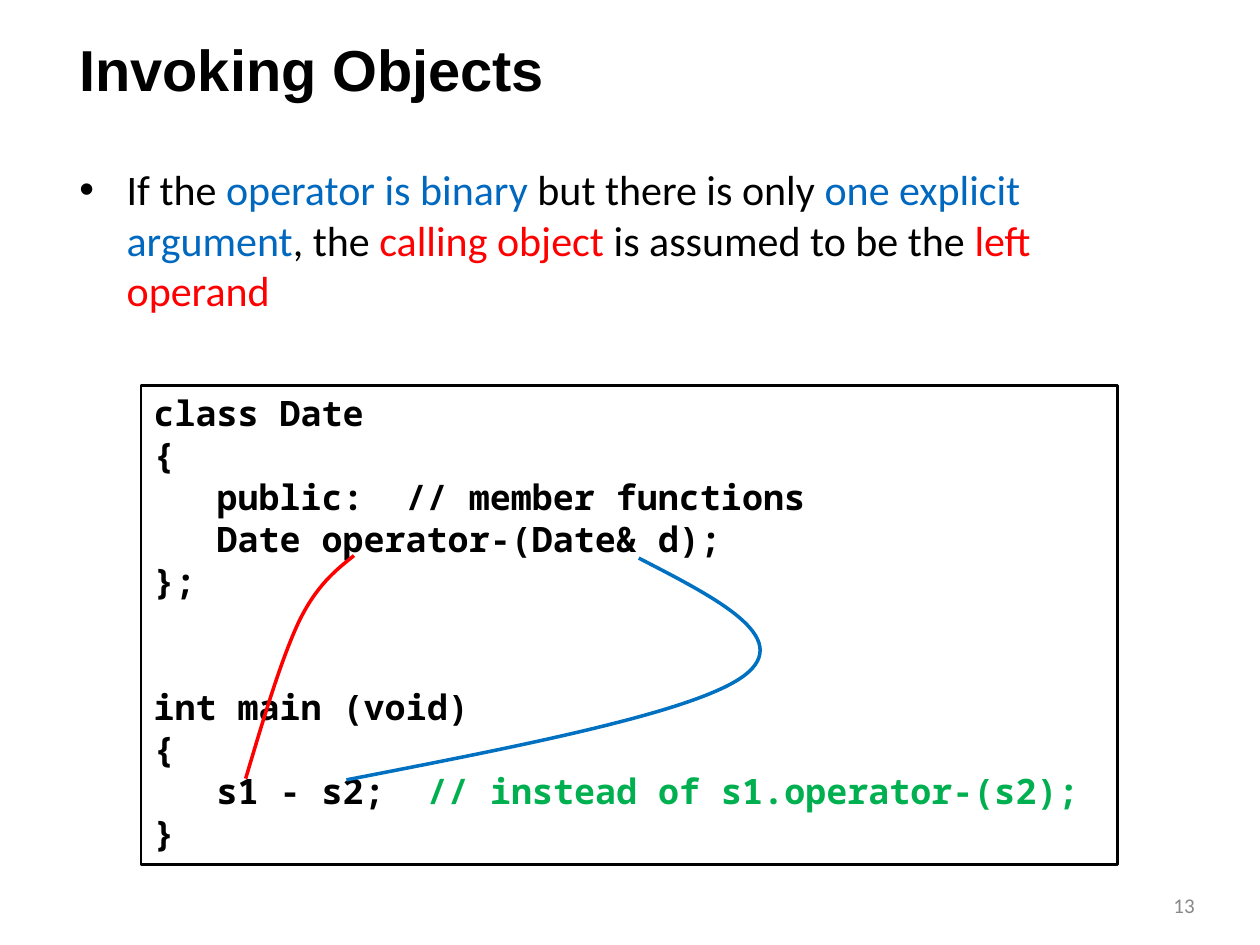
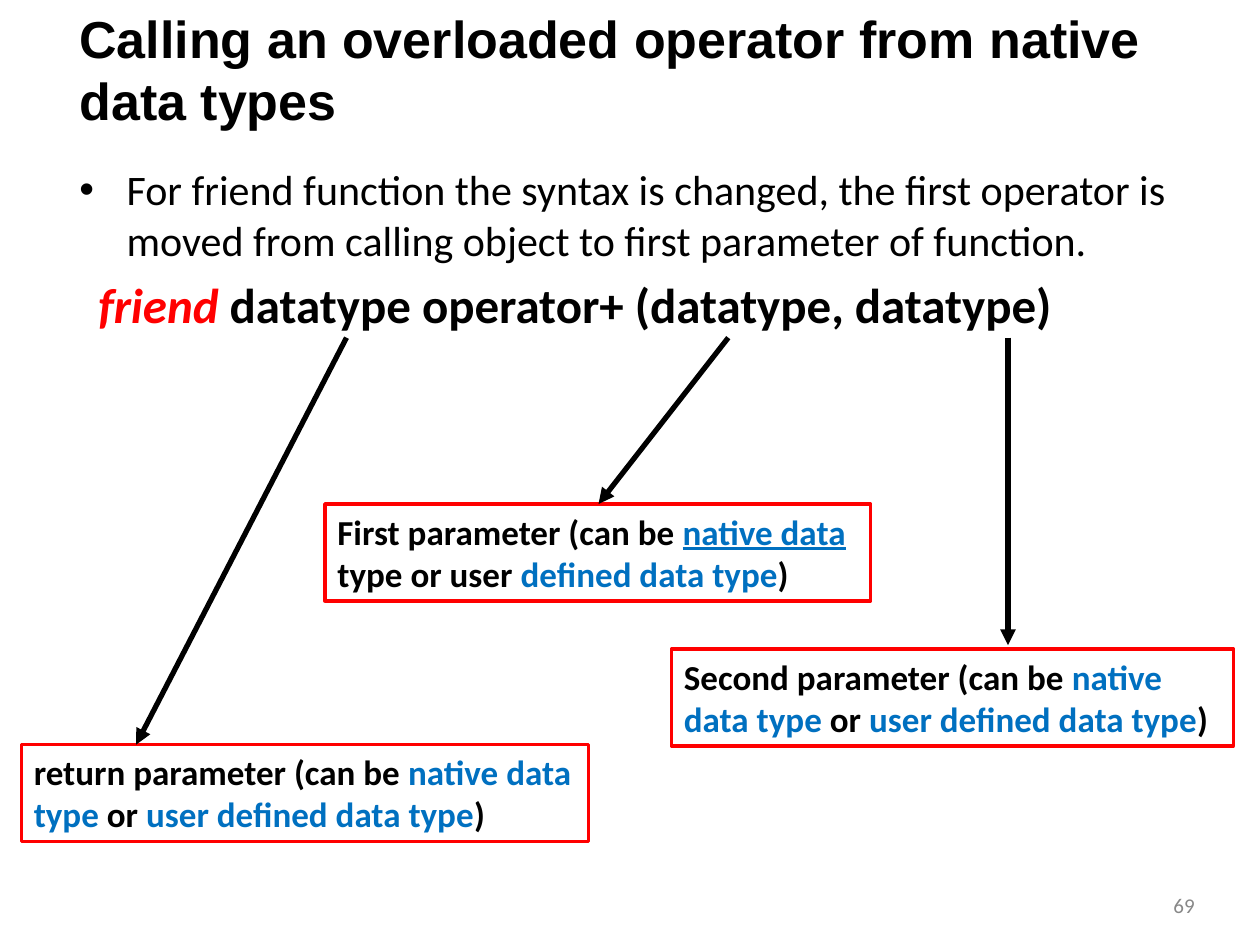
import lxml.etree
import pptx
import pptx.dml.color
import pptx.enum.shapes
import pptx.enum.text
import pptx.oxml.ns
import pptx.util

Inches = pptx.util.Inches
Pt = pptx.util.Pt
qn = pptx.oxml.ns.qn

COLORS = {
    "black": "000000",
    "white": "FFFFFF",
    "gray": "888888",
    "red": "FF0000",
    "blue": "0070C0",
    "body blue": "0069BF",
    "green": "00B050",
}
RGB = {name: pptx.dml.color.RGBColor.from_string(value) for name, value in COLORS.items()}
TITLE_FONT, TEXT_FONT, CODE_FONT = "Arial", "Calibri", "Noto Sans Mono"


def write(para, text, size, font=TEXT_FONT, color="black", bold=False, italic=False, underline=False):
    span = para.add_run()
    span.text = text
    span.font.size = Pt(size)
    span.font.name = font
    span.font.color.rgb = RGB[color]
    span.font.bold = bold
    span.font.italic = italic
    span.font.underline = underline


def add_box(page, left, top, width, height, color, weight, fill=None):
    """Add an outlined rectangle and return its first, left-aligned paragraph."""
    box = page.shapes.add_shape(
        pptx.enum.shapes.MSO_SHAPE.RECTANGLE,
        Inches(left), Inches(top), Inches(width), Inches(height))
    box.shadow.inherit = False
    if fill:
        box.fill.solid()
        box.fill.fore_color.rgb = RGB[fill]
    else:
        box.fill.background()
    box.line.color.rgb = RGB[color]
    box.line.width = Pt(weight)
    box.text_frame.word_wrap = True
    box.text_frame.vertical_anchor = pptx.enum.text.MSO_ANCHOR.TOP
    para = box.text_frame.paragraphs[0]
    para.alignment = pptx.enum.text.PP_ALIGN.LEFT
    return para


deck = pptx.Presentation()
deck.slide_width, deck.slide_height = Inches(10), Inches(7.5)

# Title, bulleted statement and page number of every slide
page_contents = [
    ("Invoking Objects", 33, "13", [
        ("If the ", "black"),
        ("operator is binary ", "body blue"),
        ("but there is only ", "black"),
        ("one explicit argument", "body blue"),
        (", the ", "black"),
        ("calling object ", "red"),
        ("is assumed to be the ", "black"),
        ("left operand", "red"),
    ]),
    ("Calling an overloaded operator from native data types", 29.7, "69", [
        ("For friend function the syntax is changed, the first operator is moved "
         "from calling object to first parameter of function.", "black"),
    ]),
]
pages = []
for title_text, title_size, number, statement in page_contents:
    page = deck.slides.add_slide(deck.slide_layouts[1])
    pages.append(page)
    title, body = page.placeholders
    for holder, top, height in [(title, 0.09, 0.91), (body, 1.25, 5.7)]:
        holder.left, holder.top = Inches(0.53), Inches(top)
        holder.width, holder.height = Inches(8.92), Inches(height)
        holder.text_frame.auto_size = pptx.enum.text.MSO_AUTO_SIZE.NONE
    title.text_frame.vertical_anchor = pptx.enum.text.MSO_ANCHOR.MIDDLE
    para = title.text_frame.paragraphs[0]
    para.alignment = pptx.enum.text.PP_ALIGN.LEFT
    write(para, title_text, title_size, font=TITLE_FONT, bold=True)

    para = body.text_frame.paragraphs[0]
    para.space_before = Pt(0)
    for text, color in statement:
        write(para, text, 24, color=color)

    number_box = page.shapes.add_textbox(Inches(7.25), Inches(6.98), Inches(2.33), Inches(0.4))
    number_box.text_frame.word_wrap = True
    number_box.text_frame.vertical_anchor = pptx.enum.text.MSO_ANCHOR.MIDDLE
    para = number_box.text_frame.paragraphs[0]
    para.alignment = pptx.enum.text.PP_ALIGN.RIGHT
    write(para, number, 12, color="gray")

operator_page, friend_page = pages

# Code listing: indent in inches, gap above in points, code, comment
code_lines = [
    (0, 0, "class Date", ""),
    (0, 0, "{", ""),
    (0.5, 0, "public:  // member functions", ""),
    (0.5, 0, "Date operator-(Date& d);", ""),
    (0, 0, "};", ""),
    (0, 48, "int main (void)", ""),
    (0, 0, "{", ""),
    (0.5, 0, "s1 - s2;  ", "// instead of s1.operator-(s2);"),
    (0, 0, "}", ""),
]
para = add_box(operator_page, 1.12, 3.06, 7.75, 3.8, "black", 1.5)
code_frame = operator_page.shapes[-1].text_frame
for index, (indent, gap, code, comment) in enumerate(code_lines):
    if index:
        para = code_frame.add_paragraph()
        para.alignment = pptx.enum.text.PP_ALIGN.LEFT
    para.space_before = Pt(gap)
    para._p.get_or_add_pPr().set("marL", str(Inches(indent)))
    write(para, code, 20, font=CODE_FONT, bold=True)
    if comment:
        write(para, comment, 20, font=CODE_FONT, color="green", bold=True)

# Curves from the operands to the operator: a start, then three points per Bézier segment
operand_curves = [
    ("red", [(1.95, 6.18), (2.09, 5.71), (2.23, 5.24), (2.37, 4.94),
             (2.51, 4.65), (2.66, 4.53), (2.81, 4.41)]),
    ("blue", [(2.75, 6.19), (4.14, 5.92), (5.53, 5.65), (5.91, 5.36),
              (6.3, 5.06), (5.69, 4.75), (5.07, 4.43)]),
]
for color, points in operand_curves:
    start, *rest = [(Inches(x), Inches(y)) for x, y in points]
    builder = operator_page.shapes.build_freeform(*start)
    builder.add_line_segments(rest, close=False)
    curve = builder.convert_to_shape()
    curve.shadow.inherit = False
    curve.fill.background()
    curve.line.color.rgb = RGB[color]
    curve.line.width = Pt(2)
    segments = list(curve._element.iter(qn("a:lnTo")))
    for first in range(0, len(segments), 3):
        outline = segments[first].getparent()
        bezier = lxml.etree.SubElement(outline, qn("a:cubicBezTo"))
        for segment in segments[first:first + 3]:
            bezier.append(segment[0])
            outline.remove(segment)

# Signature of the friend function
para = friend_page.placeholders[1].text_frame.add_paragraph()
para.space_before = Pt(5.6)
signature_format = para._p.get_or_add_pPr()
signature_format.set("marL", str(Inches(0.15)))
signature_format.set("indent", "0")
lxml.etree.SubElement(signature_format, qn("a:buNone"))
write(para, "friend", 28, color="red", bold=True, italic=True)
write(para, " datatype operator+ (datatype, datatype)", 28, bold=True)

# Explanations of the signature: box, arrow start, arrow end, spans
either_type = [
    ("native data type", "blue", False),
    (" or ", "black", False),
    ("user defined data type", "blue", False),
]
explanations = [
    ((0.17, 5.91, 4.5), (2.75, 2.68), (1.08, 5.91),
     [("return parameter (can be ", "black", False), *either_type]),
    ((5.33, 5.15, 4.46), (8, 2.68), (8, 5.12),
     [("Second parameter (can be ", "black", False), *either_type]),
    ((2.58, 4, 4.33), (5.78, 2.68), (4.75, 4),
     [("First parameter (can be ", "black", False),
      ("native data ", "blue", True),
      ("type or user ", "black", False),
      ("defined data type", "blue", False)]),
]
for (left, top, width), start, end, spans in explanations:
    para = add_box(friend_page, left, top, width, 0.77, "red", 2, fill="white")
    for text, color, underline in [*spans, (")", "black", False)]:
        write(para, text, 20, color=color, bold=True, underline=underline)

    arrow = friend_page.shapes.add_connector(
        pptx.enum.shapes.MSO_CONNECTOR.STRAIGHT,
        *[Inches(length) for length in (*start, *end)])
    arrow.line.color.rgb = RGB["black"]
    arrow.line.width = Pt(3)
    properties = arrow._element.spPr
    lxml.etree.SubElement(properties.find(qn("a:ln")), qn("a:tailEnd"), type="triangle")
    lxml.etree.SubElement(properties, qn("a:effectLst"))

deck.save("out.pptx")
